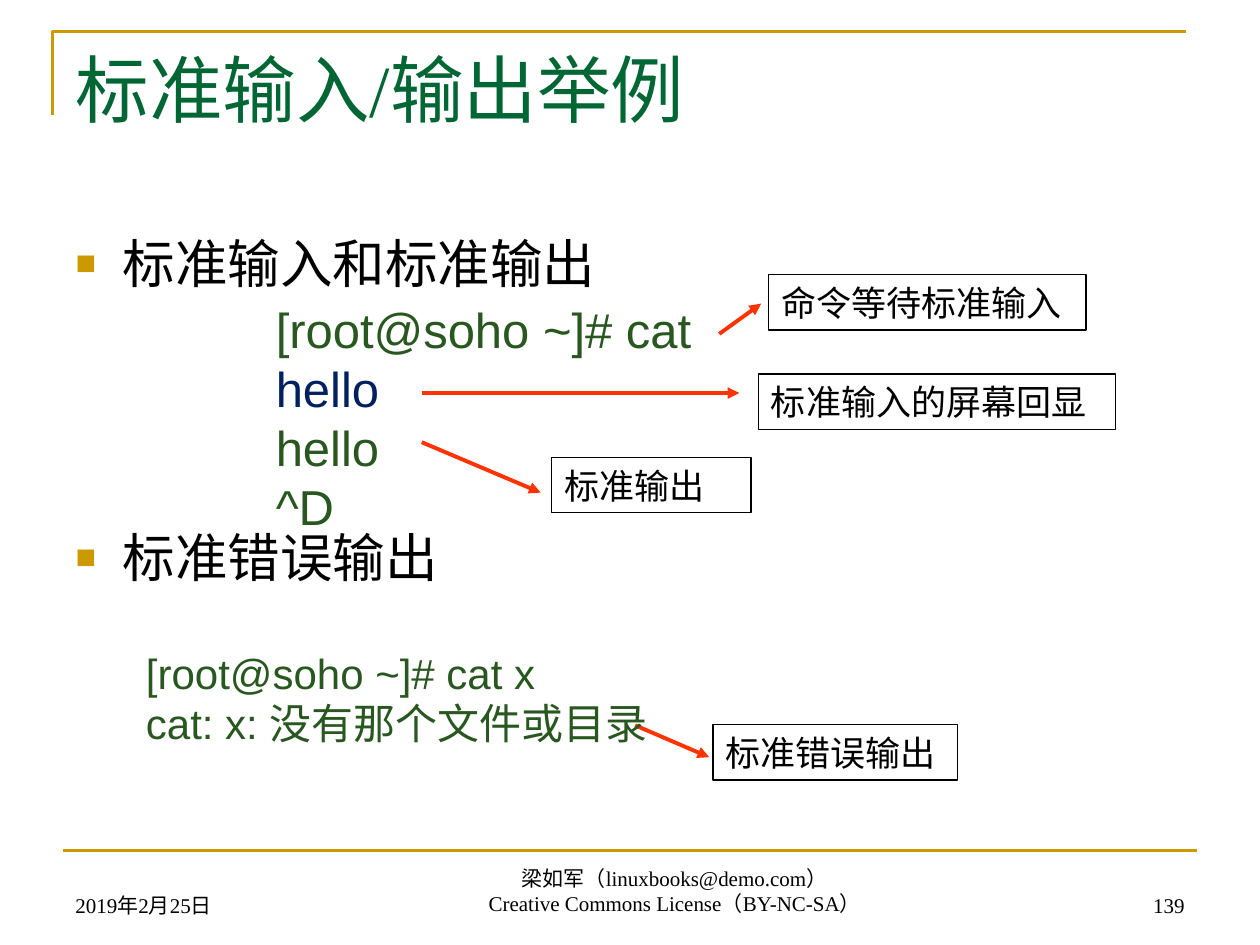
from lxml import etree
from pptx import Presentation
from pptx.dml.color import RGBColor
from pptx.enum import shapes, text
from pptx.oxml.ns import qn
from pptx.util import Pt

# Content: places are in points (left, top, width, height)
HUE = {"gold": "CC9900", "title": "006633", "ink": "000000",
       "arrow": "FF3300", "code": "285720", "input": "002060"}
TITLE = "标准输入/输出举例"
ITEMS = [("标准输入和标准输出", 6), ("标准错误输出", 132)]  # text, space before
CODES = [
    ((150.5, 167.8, 260.6, 143.3), 28,
     [("[root@soho ~]# cat", "code"), ("hello", "input"),
      ("hello", "code"), ("^D", "code")]),
    ((76.3, 366.5, 306, 87), 24,
     [("[root@soho ~]# cat x", "code"),
      ("cat: x: 没有那个文件或目录", "code")]),
]
NOTES = [  # text, box left, top, width, arrow from, arrow to
    ("命令等待标准输入", 439.2, 157, 181.4, (411, 190.8), (435, 173.5)),
    ("标准输入的屏幕回显", 433.5, 213.8, 203.8, (241, 224.6), (422.5, 224.6)),
    ("标准输出", 315.3, 261.4, 113.8, (241, 252.7), (309, 281.5)),
    ("标准错误输出", 407.5, 414, 139.7, (363, 414.5), (405.3, 432.7)),
]
FOOT = [
    ((36, 491.8, 168, 36), "l", ["2019年2月25日"]),
    ((172.8, 491, 425.5, 36), "c",
     ["梁如军（linuxbooks@demo.com）", "Creative Commons License（BY-NC-SA）"]),
    ((516, 491.8, 168, 36), "r", ["139"]),
]
SIDE = {"l": text.PP_ALIGN.LEFT, "c": text.PP_ALIGN.CENTER,
        "r": text.PP_ALIGN.RIGHT}
SEAT = {"t": text.MSO_ANCHOR.TOP, "m": text.MSO_ANCHOR.MIDDLE,
        "b": text.MSO_ANCHOR.BOTTOM}

deck = Presentation()
deck.slide_width, deck.slide_height = Pt(720), Pt(540)
slide = deck.slides.add_slide(deck.slide_layouts[1])
parts = slide.shapes


def rgb(name):
    return RGBColor.from_string(HUE[name])


def place(shape, box):
    shape.left, shape.top, shape.width, shape.height = map(Pt, box)


def write(shape, lines, size, font="Arial", side="l", seat="t"):
    """Lines are (text, colour) pairs, one paragraph each."""
    frame = shape.text_frame
    frame.word_wrap = True
    frame.auto_size = text.MSO_AUTO_SIZE.NONE
    frame.vertical_anchor = SEAT[seat]
    for i, (words, hue) in enumerate(lines):
        para = frame.add_paragraph() if i else frame.paragraphs[0]
        para.alignment = SIDE[side]
        run = para.add_run()
        run.text = words
        run.font.size, run.font.name = Pt(size), font
        run.font.color.rgb = rgb(hue)
    return frame.paragraphs


def bullet(para):
    props = para._p.get_or_add_pPr()
    props.set("marL", str(Pt(27)))
    props.set("indent", str(-Pt(27)))
    color = etree.SubElement(props, qn("a:buClr"))
    etree.SubElement(color, qn("a:srgbClr"), val=HUE["gold"])
    etree.SubElement(props, qn("a:buSzPct"), val="65000")
    etree.SubElement(props, qn("a:buFont"), typeface="Arial")
    etree.SubElement(props, qn("a:buChar"), char="■")


def line(start, end, hue, width, head=False):
    link = parts.add_connector(shapes.MSO_CONNECTOR.STRAIGHT,
                               *map(Pt, start + end))
    link.line.color.rgb, link.line.width = rgb(hue), Pt(width)
    if head:
        etree.SubElement(link.line._get_or_add_ln(), qn("a:tailEnd"),
                         type="triangle")
    etree.SubElement(link._element.spPr, qn("a:effectLst"))


# Gold frame lines
pen = parts.build_freeform(Pt(30), Pt(66))
pen.add_line_segments([(Pt(30), Pt(18)), (Pt(678), Pt(18))], close=False)
edge = pen.convert_to_shape()
edge.shadow.inherit = False
edge.fill.background()
edge.line.color.rgb, edge.line.width = rgb("gold"), Pt(1.5)
line((36, 486), (684, 486), "gold", 1.5)

# Title and list
place(parts.title, (36, 21.6, 648, 90))
write(parts.title, [(TITLE, "title")], 42, "Times New Roman")
body = slide.placeholders[1]
place(body, (36, 128.2, 648, 354))
paras = write(body, [(words, "ink") for words, gap in ITEMS], 30)
for para, (words, gap) in zip(paras, ITEMS):
    para.space_before = Pt(gap)
    bullet(para)

# Footer
for box, side, lines in FOOT:
    write(parts.add_textbox(*map(Pt, box)), [(words, "ink") for words in lines],
          12, "Times New Roman", side, "b")

# Labels with arrows
for words, left, top, width, start, end in NOTES:
    line(start, end, "arrow", 2.25, head=True)
    label = parts.add_shape(shapes.MSO_SHAPE.RECTANGLE,
                            *map(Pt, (left, top, width, 31.7)))
    label.shadow.inherit = False
    label.fill.background()
    label.line.color.rgb, label.line.width = rgb("ink"), Pt(0.75)
    write(label, [(words, "ink")], 20, "Lato", seat="m")

# Terminal sessions
for box, size, lines in CODES:
    write(parts.add_textbox(*map(Pt, box)), lines, size)

deck.save("out.pptx")
